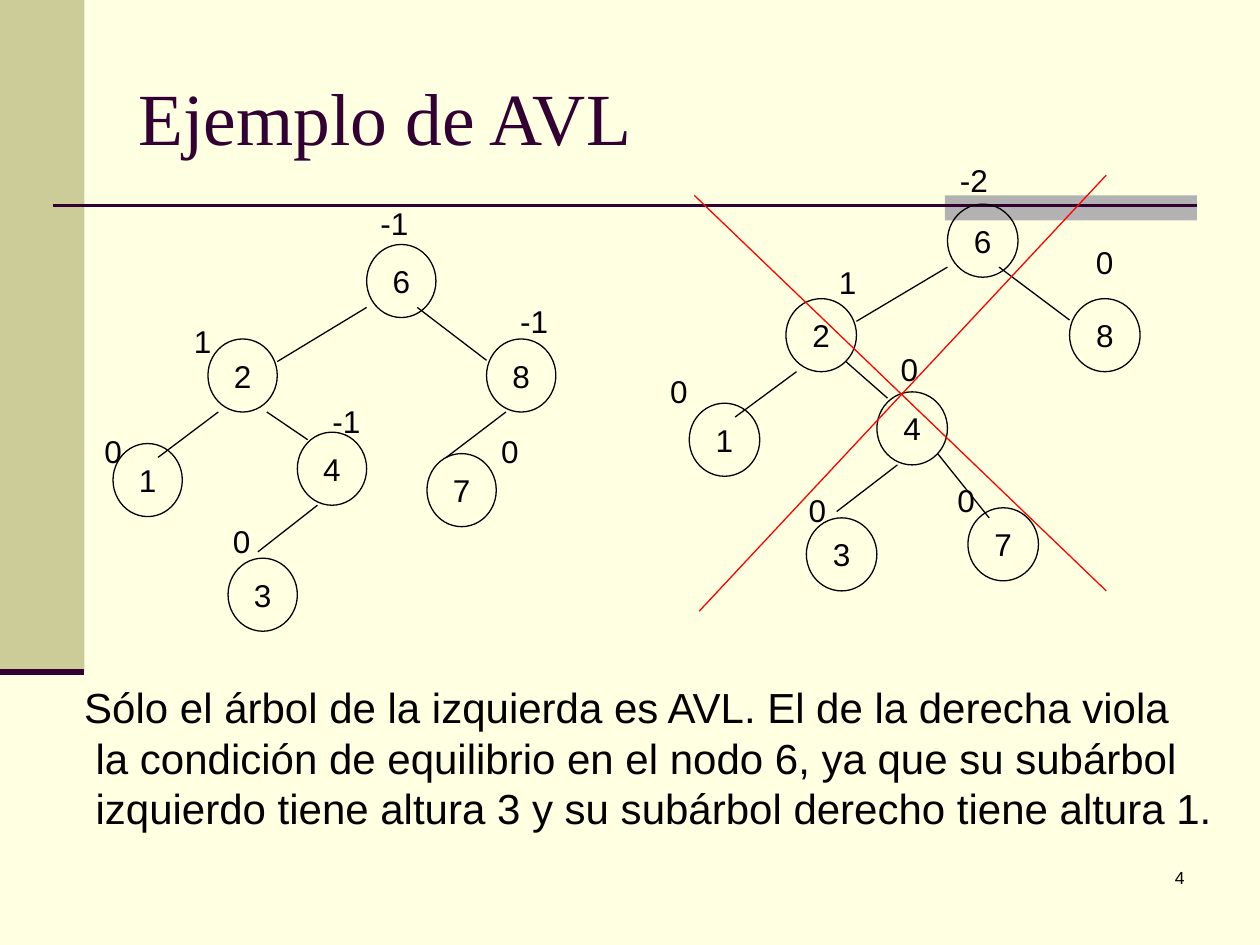
"""Build a slide comparing an AVL tree with a tree that breaks the balance rule."""
from dataclasses import dataclass

from lxml import etree
from pptx import Presentation
from pptx import util as u
from pptx.dml.color import RGBColor
from pptx.enum import shapes, text
from pptx.oxml.ns import qn


@dataclass(frozen=True)
class Theme:
    paper: str = "FFFFE1"
    panel: str = "CCCC99"
    tab: str = "B2B2B2"
    accent: str = "330033"
    ink: str = "000000"
    cross: str = "FF0000"
    heading: str = "Times New Roman"
    body: str = "Arial"
    title_size: int = 42
    text_size: int = 24
    node_size: int = 18
    number_size: int = 10


T = Theme()
WIDTH, HEIGHT = u.Inches(10), u.Inches(7.5)
COL, ROW = WIDTH / 10, HEIGHT / 7.5
NODE_H = 0.58

TITLE = "Ejemplo de AVL"
NUMBER = "4"
CAPTION = [
    "Sólo el árbol de la izquierda es AVL. El de la derecha viola",
    "la condición de equilibrio en el nodo 6, ya que su subárbol",
    "izquierdo tiene altura 3 y su subárbol derecho tiene altura 1.",
]

# Horizontal offsets are in node widths, vertical ones in grid rows.
NODES = {"6": (0, 0), "8": (1.73, 0.75), "4": (-1, 1.49), "1": (-3.66, 1.58),
         "2": (-2.29, 0.75), "3": (-2, 2.49)}
EDGES = [
    ("6", (0, 0.5), "2", (1, 0.18)),
    ("2", (0.15, 0.58), "1", (0.65, 0.11)),
    ("4", (0.29, 0.58), "3", (0.43, -0.05)),
    ("6", (0.73, 0.5), "8", (0, 0.17)),
]
TREES = [
    {
        "root": (2.91, 1.94), "node_w": 0.55,
        "nodes": {"7": (0.87, 1.66)},
        "edges": [("8", (0.28, 0.58), "7", (0.28, 0.03)),
                  ("2", (0.85, 0.58), "4", (0.15, 0.06))],
        "balance": [("1", 1.44, 2.51), ("0", 1.75, 4.09), ("0", 0.73, 3.38),
                    ("-1", 2.54, 3.14), ("0", 3.88, 3.38),
                    ("-1", 4.03, 2.35), ("-1", 2.92, 1.57)],
    },
    {
        "root": (7.52, 1.62), "node_w": 0.56,
        "nodes": {"7": (0.29, 2.41)},
        "edges": [("2", (0.85, 0.5), "4", (0.15, 0.05)),
                  ("4", (0.86, 0.49), "7", (0.3, 0.08))],
        "balance": [("0", 6.32, 3.85), ("0", 7.5, 3.77), ("0", 7.05, 2.73),
                    ("0", 5.22, 2.9), ("1", 6.56, 2.04), ("0", 8.6, 1.88),
                    ("-2", 7.52, 1.23)],
    },
]
CROSS = [((5.51, 1.55), (8.78, 4.69)), ((8.78, 1.39), (5.55, 4.85))]


def grid(x, y):
    return round(x * COL), round(y * ROW)


def write(tf, lines, size, align=text.PP_ALIGN.LEFT, font=T.body, color=T.ink):
    tf.text = "\n".join(lines)
    for p in tf.paragraphs:
        p.alignment = align
        for r in p.runs:
            r.font.size, r.font.name = u.Pt(size), font
            r.font.color.rgb = RGBColor.from_string(color)


def add_shape(s, kind, x, y, w, h, fill=None, line=None):
    sp = s.shapes.add_shape(kind, *grid(x, y), *grid(w, h))
    sp.shadow.inherit = False
    if fill:
        sp.fill.solid()
        sp.fill.fore_color.rgb = RGBColor.from_string(fill)
    else:
        sp.fill.background()
    if line:
        sp.line.color.rgb = RGBColor.from_string(line)
        sp.line.width = u.Pt(0.75)
    else:
        sp.line.fill.background()
    return sp


def add_line(s, start, end, color=T.ink, width=0.75):
    ln = s.shapes.add_connector(shapes.MSO_CONNECTOR.STRAIGHT,
                                *grid(*start), *grid(*end))
    ln.line.color.rgb = RGBColor.from_string(color)
    ln.line.width = u.Pt(width)
    etree.SubElement(ln._element.spPr, qn("a:effectLst"))


def add_text(s, x, y, w, h, lines, size, **style):
    tf = s.shapes.add_textbox(*grid(x, y), *grid(w, h)).text_frame
    tf.word_wrap = False
    write(tf, lines, size, **style)
    return tf


def add_tree(s, tree):
    (x0, y0), w = tree["root"], tree["node_w"]
    spots = {key: (x0 + dx * w, y0 + dy)
             for key, (dx, dy) in (NODES | tree["nodes"]).items()}
    for key, (x, y) in spots.items():
        sp = add_shape(s, shapes.MSO_SHAPE.OVAL, x, y, w, NODE_H, line=T.ink)
        tf = sp.text_frame
        tf.word_wrap = False
        tf.vertical_anchor = text.MSO_ANCHOR.MIDDLE
        write(tf, [key], T.node_size, align=text.PP_ALIGN.CENTER)
    for parent, (px, py), child, (cx, cy) in EDGES + tree["edges"]:
        (x1, y1), (x2, y2) = spots[parent], spots[child]
        add_line(s, (x1 + px * w, y1 + py), (x2 + cx * w, y2 + cy))


def add_frame(s):
    s.background.fill.solid()
    s.background.fill.fore_color.rgb = RGBColor.from_string(T.paper)
    add_shape(s, shapes.MSO_SHAPE.RECTANGLE, 0, 0, 0.67, 5.33, fill=T.panel)
    add_shape(s, shapes.MSO_SHAPE.RECTANGLE, 7.5, 1.55, 2, 0.2, fill=T.tab)
    add_line(s, (0.42, 1.63), (9.5, 1.63), T.accent, 1.5)
    add_line(s, (0, 5.33), (0.67, 5.33), T.accent, 3.5)


def add_title(s):
    sp = s.shapes.title
    sp.left, sp.top = grid(1, 0.3)
    sp.width, sp.height = grid(8.5, 1.25)
    sp.text_frame.vertical_anchor = text.MSO_ANCHOR.MIDDLE
    write(sp.text_frame, [TITLE], T.title_size, font=T.heading, color=T.accent)


def main():
    prs = Presentation()
    prs.slide_width, prs.slide_height = WIDTH, HEIGHT
    s = prs.slides.add_slide(prs.slide_layouts[5])
    add_frame(s)
    add_title(s)
    add_text(s, 7.42, 6.83, 2.08, 0.5, [NUMBER], T.number_size,
             align=text.PP_ALIGN.RIGHT).word_wrap = True
    for tree in TREES:
        add_tree(s, tree)
    tf = add_text(s, 0.57, 5.36, 9.15, 1.3, CAPTION, T.text_size)
    tf.vertical_anchor = text.MSO_ANCHOR.MIDDLE
    for p in tf.paragraphs[1:]:
        p._p.get_or_add_pPr().set("marL", str(round(0.09 * COL)))
    for start, end in CROSS:
        add_line(s, start, end, T.cross)
    for tree in TREES:
        for value, x, y in tree["balance"]:
            add_text(s, x, y, 0.26 + 0.08 * len(value), 0.4, [value], T.node_size)
    prs.save("out.pptx")


if __name__ == "__main__":
    main()
